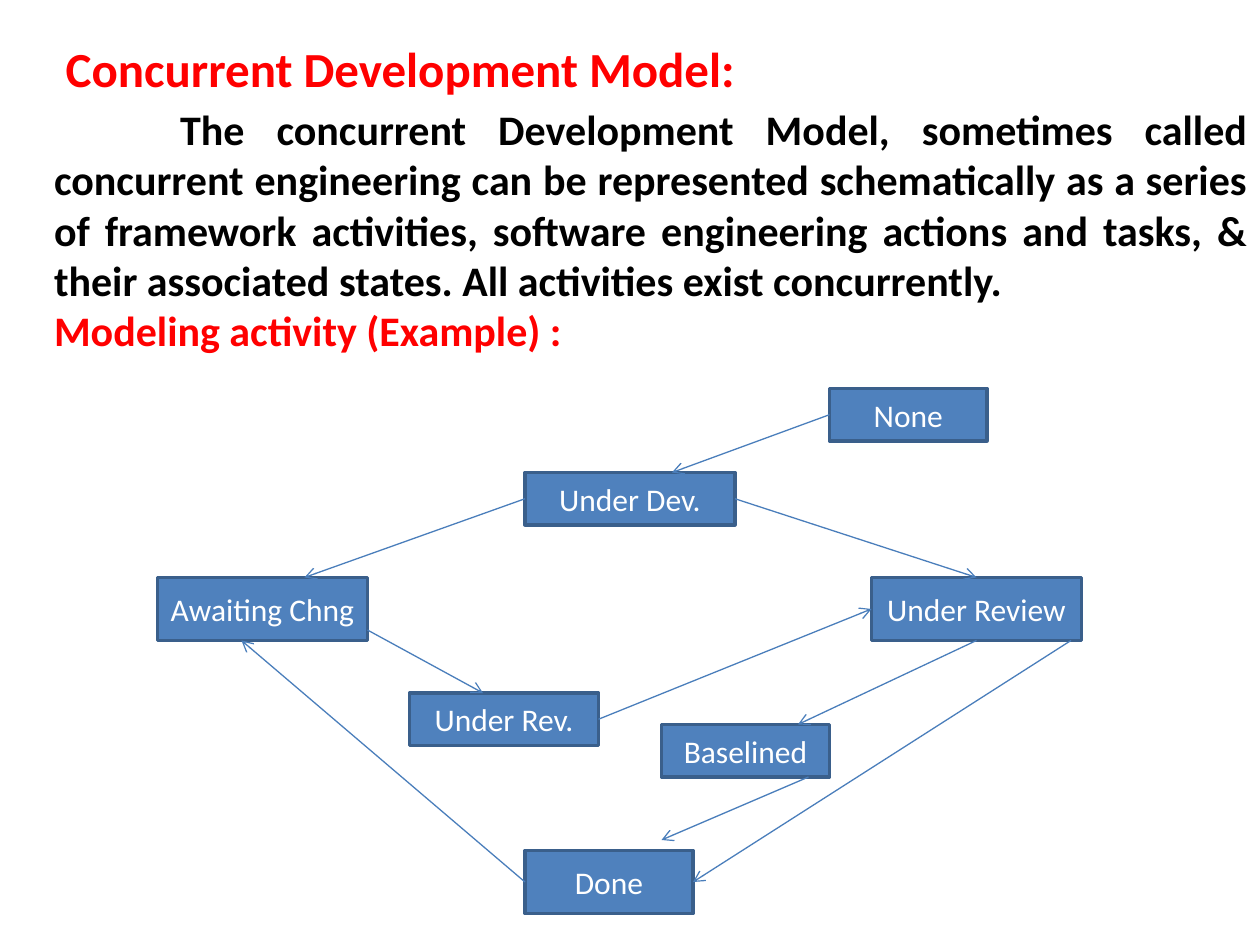
"""Build the slide on the concurrent development model with its state diagram."""
from dataclasses import dataclass

import lxml.etree
import pptx
import pptx.dml.color
import pptx.enum.shapes
import pptx.enum.text
import pptx.oxml.ns
import pptx.util

Cm = pptx.util.Cm
Pt = pptx.util.Pt
Align = pptx.enum.text.PP_ALIGN
Anchor = pptx.enum.text.MSO_ANCHOR

TITLE = "Concurrent Development Model:"
BODY = [
    ("The concurrent Development Model, sometimes called concurrent engineering "
     "can be represented schematically as a series of framework activities, "
     "software engineering actions and tasks, & their associated states. "
     "All activities exist concurrently.", "ink", 2.54),
    ("Modeling activity (Example) :", "red", 0),
]

STATES = [
    ("Under Dev.", 50, 45, 20, 5),
    ("Awaiting Chng", 15, 55, 20, 6),
    ("Under Review", 83, 55, 20, 6),
    ("Under Rev.", 39, 66, 18, 5),
    ("Baselined", 63, 69, 16, 5),
    ("Done", 50, 81, 16, 6),
    ("None", 79, 37, 15, 5),
]

MOVES = [
    ((79, 39.5), (64, 45)),
    ((50, 47.5), (29, 55)),
    ((35, 60), (46, 66)),
    ((57, 68.5), (83, 58)),
    ((93, 61), (76, 69)),
    ((77, 74), (63, 80)),
    ((50, 84), (23, 61)),
    ((70, 47.5), (93, 55)),
    ((102, 61), (66, 84)),
]


@dataclass(frozen=True)
class Theme:
    font: str = "Calibri"
    red: str = "FF0000"
    ink: str = "000000"
    fill: str = "4F81BD"
    edge: str = "3A5F8B"
    wire: str = "4A7EBB"
    pale: str = "FFFFFF"
    head: int = 28
    text: int = 24
    label: int = 18


THEME = Theme()


def tint(code):
    return pptx.dml.color.RGBColor.from_string(code)


def grid(count):
    return Cm(count * 2.54 / 12)


def write(para, words, size, code, bold=False):
    run = para.add_run()
    run.text = words
    run.font.name = THEME.font
    run.font.size = Pt(size)
    run.font.bold = bold
    run.font.color.rgb = tint(code)


def add_title(slide):
    title = slide.shapes.title
    title.left, title.top = Cm(1.07), Cm(0.64)
    title.width, title.height = Cm(23), Cm(1.46)
    frame = title.text_frame
    frame.auto_size = pptx.enum.text.MSO_AUTO_SIZE.NONE
    frame.vertical_anchor = Anchor.TOP
    para = frame.paragraphs[0]
    para.alignment = Align.LEFT
    write(para, TITLE, THEME.head, THEME.red, True)


def add_body(slide):
    box = slide.shapes.add_textbox(Cm(0.84), Cm(1.96), Cm(24.56), Cm(5.44))
    frame = box.text_frame
    frame.word_wrap = True
    for order, (words, hue, indent) in enumerate(BODY):
        para = frame.add_paragraph() if order else frame.paragraphs[0]
        para.alignment = Align.JUSTIFY
        props = para._p.get_or_add_pPr()
        props.set("marL", "0")
        props.set("indent", str(Cm(indent)))
        write(para, words, THEME.text, getattr(THEME, hue), True)


def add_state(slide, name, *place):
    kind = pptx.enum.shapes.MSO_SHAPE.RECTANGLE
    box = slide.shapes.add_shape(kind, *map(grid, place))
    box.shadow.inherit = False
    box.fill.solid()
    box.fill.fore_color.rgb = tint(THEME.fill)
    box.line.color.rgb = tint(THEME.edge)
    box.line.width = Pt(2)
    frame = box.text_frame
    frame.word_wrap = False
    frame.vertical_anchor = Anchor.MIDDLE
    para = frame.paragraphs[0]
    para.alignment = Align.CENTER
    write(para, name, THEME.label, THEME.pale)


def add_move(slide, start, end):
    kind = pptx.enum.shapes.MSO_CONNECTOR.STRAIGHT
    wire = slide.shapes.add_connector(kind, *map(grid, start + end))
    wire.line.color.rgb = tint(THEME.wire)
    wire.line.width = Pt(0.75)
    qn = pptx.oxml.ns.qn
    props = wire._element.spPr
    tail = lxml.etree.SubElement(props.find(qn("a:ln")), qn("a:tailEnd"))
    tail.set("type", "arrow")
    lxml.etree.SubElement(props, qn("a:effectLst"))


def main():
    deck = pptx.Presentation()
    deck.slide_width, deck.slide_height = Cm(25.4), Cm(19.05)
    slide = deck.slides.add_slide(deck.slide_layouts[5])
    add_title(slide)
    add_body(slide)
    for state in STATES:
        add_state(slide, *state)
    for start, end in MOVES:
        add_move(slide, start, end)
    deck.save("out.pptx")


if __name__ == "__main__":
    main()
